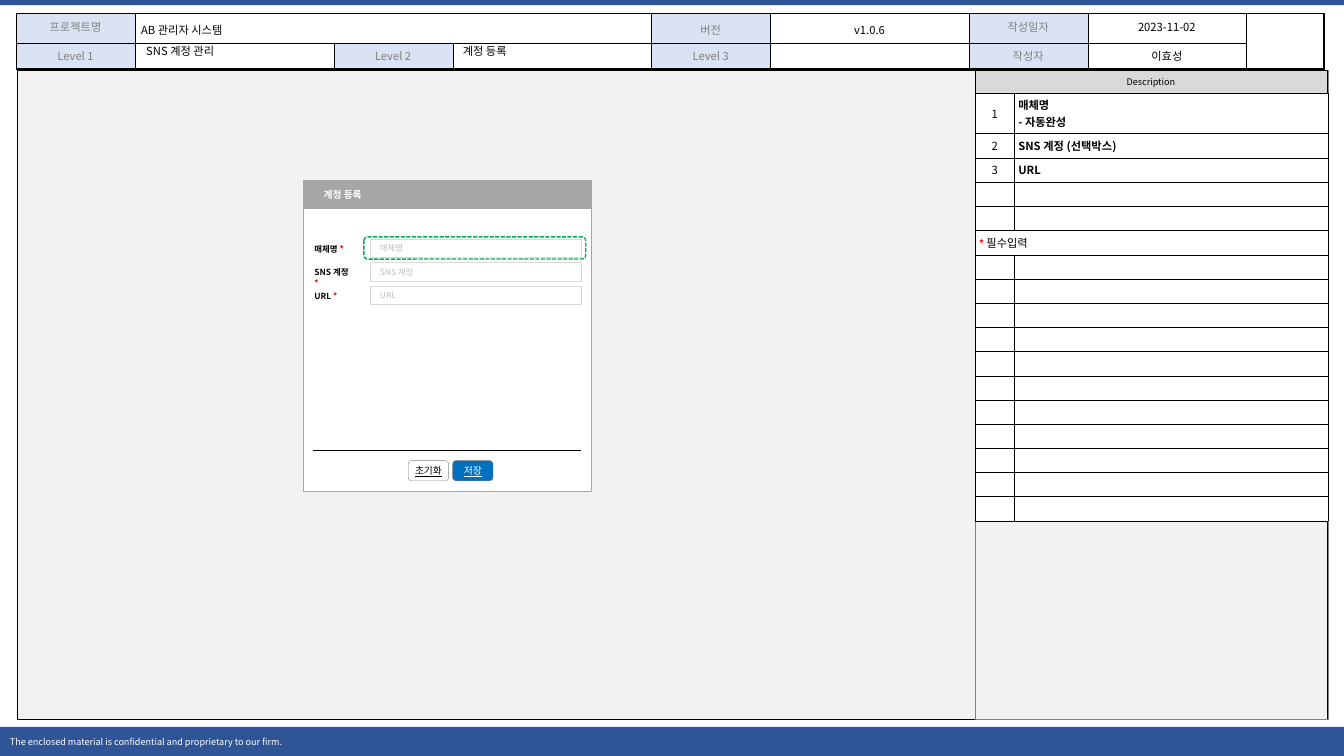
"""Builds the account registration screen specification slide."""
from dataclasses import dataclass
from typing import Any, NamedTuple, Optional

from lxml import etree
from pptx import Presentation
from pptx import util as u
from pptx.dml.color import RGBColor
from pptx.enum import dml, shapes, text
from pptx.oxml import ns

FONT = "Noto Sans CJK KR"
BLACK = RGBColor(0x00, 0x00, 0x00)
WHITE = RGBColor(0xFF, 0xFF, 0xFF)
NAVY = RGBColor(0x2F, 0x55, 0x97)
PALE_BLUE = RGBColor(0xDA, 0xE3, 0xF3)
BLUE = RGBColor(0x00, 0x70, 0xC0)
GREEN = RGBColor(0x00, 0xB0, 0x50)
RED = RGBColor(0xFF, 0x00, 0x00)
CANVAS = RGBColor(0xF2, 0xF2, 0xF2)
SILVER = RGBColor(0xD9, 0xD9, 0xD9)
HINT = RGBColor(0xBF, 0xBF, 0xBF)
BAR = RGBColor(0xA6, 0xA6, 0xA6)
GRAY = RGBColor(0x80, 0x80, 0x80)

RECT = shapes.MSO_SHAPE.RECTANGLE
ROUNDED = shapes.MSO_SHAPE.ROUNDED_RECTANGLE
CENTER, LEFT = text.PP_ALIGN.CENTER, text.PP_ALIGN.LEFT
MIDDLE, TOP = text.MSO_ANCHOR.MIDDLE, text.MSO_ANCHOR.TOP
SIDES = ("left", "top", "right", "bottom")

deck = Presentation()
deck.slide_width, deck.slide_height = u.Inches(13.33), u.Inches(7.5)
slide = deck.slides.add_slide(deck.slide_layouts[4])


class Run(NamedTuple):
    words: str
    size: float = 8
    color: RGBColor = BLACK
    bold: bool = False
    underline: bool = False


class Box(NamedTuple):
    left: float
    top: float
    width: float
    height: float


@dataclass
class Panel:
    box: Box
    fill: Optional[RGBColor] = None
    line: Optional[RGBColor] = None
    run: Optional[Run] = None
    align: Any = LEFT
    insets: tuple = (10, 5, 10, 5)
    kind: Any = RECT
    weight: float = 0.25
    dash: Any = None


def col(count: float) -> int:
    """Return the width of columns on a grid of 1333."""
    return round(deck.slide_width * count / 1333)


def row(count: float) -> int:
    """Return the height of rows on a grid of 750."""
    return round(deck.slide_height * count / 750)


def place(box: Box) -> tuple:
    """Turn grid cells into slide lengths."""
    return col(box.left), row(box.top), col(box.width), row(box.height)


def assign(target: Any, values: dict) -> None:
    """Set each attribute of the target."""
    for name, value in values.items():
        setattr(target, name, value)


def margins(insets: tuple) -> dict:
    """Name the four insets as margin attributes."""
    return {f"margin_{side}": col(inset) for side, inset in zip(SIDES, insets)}


def write(frame: Any, lines: list, align: Any = LEFT, spacing: float = 1.0) -> None:
    """Write lines of runs into a text frame."""
    for index, runs in enumerate(lines):
        line = frame.add_paragraph() if index else frame.paragraphs[0]
        assign(line, {"alignment": align, "line_spacing": spacing, "space_before": u.Pt(0)})
        for run in runs:
            piece = line.add_run()
            piece.text = run.words
            piece.font.color.rgb = run.color
            assign(piece.font, {"name": FONT, "size": u.Pt(run.size),
                                "bold": run.bold, "underline": run.underline})
            etree.SubElement(piece.font._element, ns.qn("a:ea"), typeface=FONT)
        if not runs:
            etree.SubElement(line._p, ns.qn("a:endParaRPr"), sz="800")


def paint(target: Any, color: Optional[RGBColor]) -> None:
    """Fill with a colour, or with nothing."""
    if color is None:
        target.fill.background()
    else:
        target.fill.solid()
        target.fill.fore_color.rgb = color


def draw(panel: Panel) -> None:
    """Draw one panel with its text."""
    area = slide.shapes.add_shape(panel.kind, *place(panel.box))
    area.shadow.inherit = False
    paint(area, panel.fill)
    paint(area.line, panel.line)
    if panel.line is not None:
        assign(area.line, {"width": u.Pt(panel.weight), "dash_style": panel.dash})
    if panel.run:
        assign(area.text_frame, {"word_wrap": True, "vertical_anchor": MIDDLE,
                                 **margins(panel.insets)})
        write(area.text_frame, [[panel.run]], panel.align)


def fill_cell(cell: Any, lines: list, color: Optional[RGBColor], inset: tuple, anchor: Any,
              align: Any, spacing: float = 1.0, right: float = 0.25, bottom: float = 0.25) -> None:
    """Write, fill and border one table cell."""
    assign(cell, {"vertical_anchor": anchor, **margins(inset)})
    write(cell.text_frame, lines, align, spacing)
    paint(cell, color)
    props = cell._tc.get_or_add_tcPr()
    for index, (side, weight) in enumerate(zip("LRTB", (0.25, right, 0.25, bottom))):
        edge = etree.Element(ns.qn(f"a:ln{side}"), w=str(u.Pt(weight)))
        ink = etree.SubElement(edge, ns.qn("a:solidFill"))
        etree.SubElement(ink, ns.qn("a:srgbClr"), val=str(BLACK))
        props.insert(index, edge)


def add_grid(box: Box, widths: list, count: int) -> Any:
    """Add a plain table with the given columns and equal rows."""
    grid = slide.shapes.add_table(count, len(widths), *place(box)).table
    assign(grid, {"first_row": False, "horz_banding": False})
    for column, width in zip(grid.columns, widths):
        column.width = col(width)
    return grid


def add_header() -> None:
    """Add the project table with its two levels of headings."""
    entries = [["프로젝트명", "AB 관리자 시스템", "", "", "버전", "v1.0.6", "작성일자", "2023-11-02", ""],
               ["Level 1", "", "Level 2", "", "Level 3", "", "작성자", "이효성", ""]]
    project = add_grid(Box(16, 13, 1297, 49), [118, 197, 118, 197, 118, 197, 118, 157, 77], 2)
    project.cell(0, 1).merge(project.cell(0, 3))
    project.cell(0, 8).merge(project.cell(1, 8))
    for r, height in enumerate((26, 23)):
        project.rows[r].height = row(height)
        for c, words in enumerate(entries[r]):
            label = c % 2 == 0 and words != ""
            runs = [Run(words, color=GRAY if label else BLACK)] if words else []
            fill_cell(project.cell(r, c), [runs], PALE_BLUE if label else None, (6, 5, 6, 5), TOP,
                      LEFT if c == 1 else CENTER, 1.2 if r == 0 and c in (1, 4, 5) else 1.0,
                      1.5 if c == 8 else 0.25, 1.5 if r == 1 or c == 8 else 0.25)


def add_descriptions() -> None:
    """Add the numbered description table."""
    notes = [["매체명", "- 자동완성"], ["SNS 계정 (선택박스)"], ["URL"]]
    required = 5
    details = add_grid(Box(967, 92, 350, 408), [39, 311], 17)
    details.cell(required, 0).merge(details.cell(required, 1))
    for r, line in enumerate(details.rows):
        line.height = row(24)
        number, note = [[]], [[]]
        if r < len(notes):
            number = [[Run(str(r + 1))]]
            note = [[Run(words, bold=True)] for words in notes[r]]
        elif r == required:
            number = [[Run("*", 7, RED, True), Run(" 필수입력")]]
        for c, lines in enumerate((number, note)):
            fill_cell(details.cell(r, c), lines, WHITE, (4, 4, 4, 4), MIDDLE,
                      CENTER if c == 0 and r != required else LEFT)


def add_fields() -> None:
    """Add the labelled input fields of the dialog."""
    for index, (name, width, wrap) in enumerate(
            [("매체명", 52, False), ("SNS 계정", 63, True), ("URL", 43, False)]):
        top = 237 + 23.5 * index
        label = slide.shapes.add_textbox(*place(Box(302, top, width, 20))).text_frame
        assign(label, {"word_wrap": wrap, "auto_size": text.MSO_AUTO_SIZE.SHAPE_TO_FIT_TEXT,
                       "margin_right": col(14 if wrap else 10)})
        write(label, [[Run(name + " ", 6, bold=True), Run("*", 6, RED, True)]])
        draw(Panel(Box(367, top, 209, 18), WHITE, SILVER, Run(name, 6, HINT)))


def add_levels() -> None:
    """Put the level names in the body placeholders and drop the others."""
    levels = {1: (135, "SNS 계정 관리"), 3: (449, "계정 등록")}
    for holder in list(slide.placeholders):
        index = holder.placeholder_format.idx
        if index not in levels:
            holder._element.getparent().remove(holder._element)
            continue
        left, words = levels[index]
        assign(holder, dict(zip(("left", "top", "width", "height"), place(Box(left, 39, 197, 24)))))
        assign(holder.text_frame, {"vertical_anchor": MIDDLE,
                                   "auto_size": text.MSO_AUTO_SIZE.NONE})
        write(holder.text_frame, [[Run(words)]], LEFT, 0.9)


def main() -> None:
    """Build and save the slide."""
    add_levels()
    footer = Run("The enclosed material is confidential and proprietary to our firm.", 6.5, WHITE)
    for panel in (Panel(Box(0, 0, 1333, 5), NAVY),
                  Panel(Box(0, 721, 1333, 29), NAVY, run=footer),
                  Panel(Box(17, 70, 1299, 644), CANVAS, BLACK),
                  Panel(Box(967, 70, 350, 644), None, GRAY),
                  Panel(Box(967, 70, 349, 22), SILVER, BLACK, Run("Description", 6.5),
                        CENTER, (7, 3, 7, 3)),
                  Panel(Box(301, 205, 285, 282), WHITE, BAR),
                  Panel(Box(301, 179, 285, 28), BAR, BAR, Run("계정 등록", 7, WHITE, True),
                        insets=(20, 0, 0, 0))):
        draw(panel)
    add_header()
    add_descriptions()
    add_fields()
    draw(Panel(Box(361, 235, 220, 22), None, GREEN, kind=ROUNDED, weight=1,
               dash=dml.MSO_LINE.SQUARE_DOT))
    divider = slide.shapes.add_connector(shapes.MSO_CONNECTOR.STRAIGHT,
                                         col(310), row(447), col(576), row(447))
    divider.line.color.rgb = BLACK
    divider.line.width = u.Pt(0.5)
    etree.SubElement(divider._element.spPr, ns.qn("a:effectLst"))
    for left, words, fill, ink in ((405, "초기화", WHITE, BLACK), (449, "저장", BLUE, WHITE)):
        draw(Panel(Box(left, 457, 40, 20), fill, GRAY, Run(words, 7, ink, underline=True),
                   CENTER, (4, 4, 4, 4), ROUNDED))
    deck.save("out.pptx")


if __name__ == "__main__":
    main()
